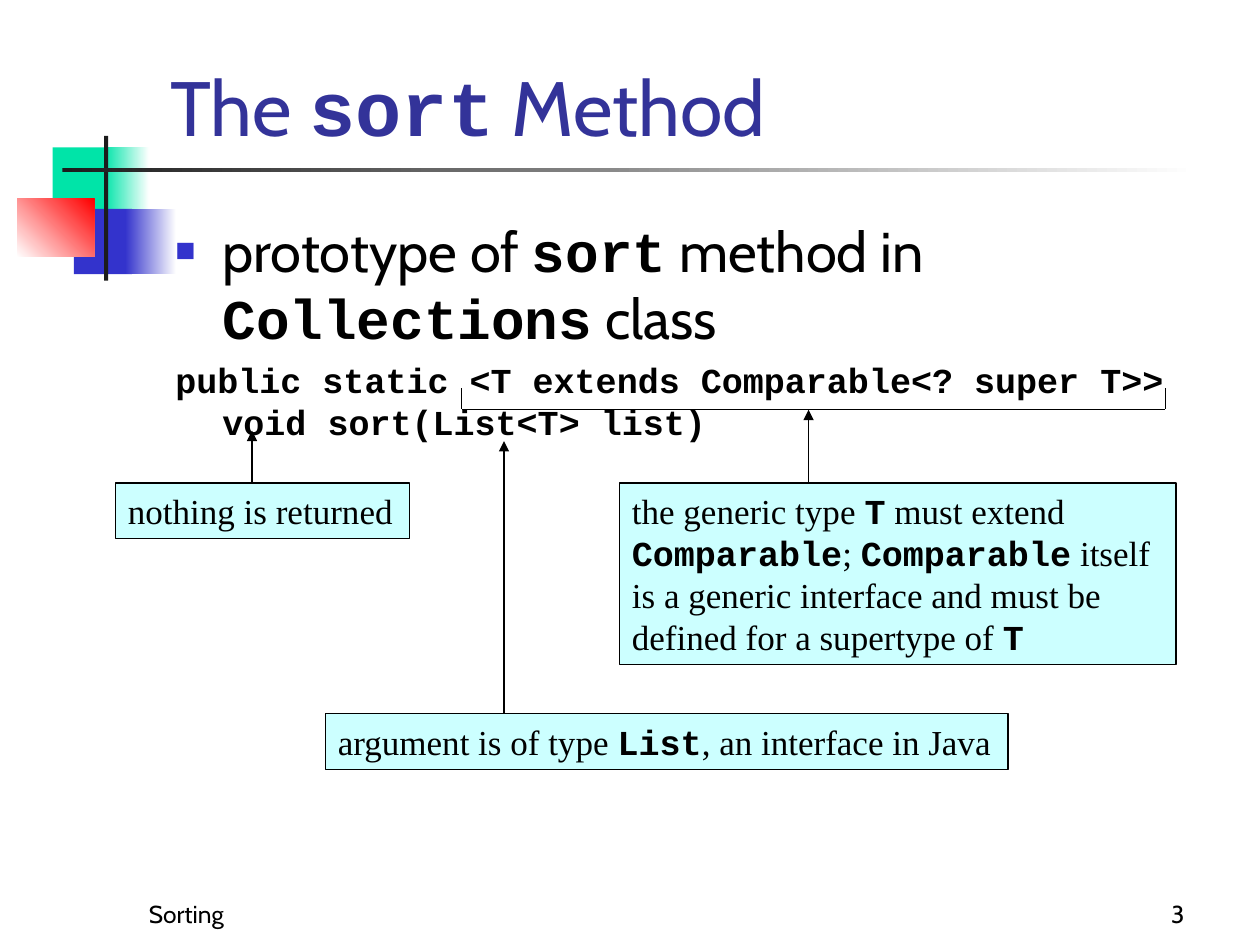
from lxml import etree
from pptx import Presentation
from pptx import util as u
from pptx.dml.color import RGBColor
from pptx.enum import shapes, text
from pptx.oxml import ns

GREEN = RGBColor(0x00, 0xE4, 0xA8)
BLUE = RGBColor(0x33, 0x33, 0xCC)
RED = RGBColor(0xFF, 0x00, 0x00)
DARK = RGBColor(0x1C, 0x1C, 0x1C)
WHITE = RGBColor(0xFF, 0xFF, 0xFF)
BLACK = RGBColor(0x00, 0x00, 0x00)
TITLE_BLUE = RGBColor(0x33, 0x33, 0x99)
PALE_CYAN = RGBColor(0xCC, 0xFF, 0xFF)
SANS, SERIF, CODE = "Cabin", "Times New Roman", "Courier New"


def place(shape, left, top, width, height):
    shape.left, shape.top = u.Cm(left), u.Cm(top)
    shape.width, shape.height = u.Cm(width), u.Cm(height)


def add_xml(parent, tag, **attributes):
    return etree.SubElement(parent, ns.qn(tag), attributes)


def write(paragraph, words, font, size, color):
    """Write words; parts between backticks are set as bold code."""
    paragraph.alignment = text.PP_ALIGN.LEFT
    paragraph.font.size = u.Pt(size)
    paragraph.font.color.rgb = color
    parts = [(i % 2 == 1, part) for i, part in enumerate(words.split("`")) if part]
    mixed = len(parts) > 1
    for is_code, part in parts:
        run = paragraph.add_run()
        run.text = part
        target = run.font if mixed else paragraph.font
        target.name = CODE if is_code else font
        target.bold = is_code


def set_frame(frame, anchor):
    frame.word_wrap = True
    frame.auto_size = text.MSO_AUTO_SIZE.NONE
    frame.vertical_anchor = anchor


def add_rect(slide, left, top, width, height, color, end=None, angle=0):
    rect = slide.shapes.add_shape(
        shapes.MSO_SHAPE.RECTANGLE,
        u.Cm(left), u.Cm(top), u.Cm(width), u.Cm(height))
    rect.shadow.inherit = False
    rect.line.fill.background()
    if end is None:
        rect.fill.solid()
        rect.fill.fore_color.rgb = color
    else:
        rect.fill.gradient()
        rect.fill.gradient_angle = angle
        for stop, stop_color in zip(rect.fill.gradient_stops, (color, end)):
            stop.color.rgb = stop_color
    return rect


def add_line(slide, x1, y1, x2, y2, arrow=False):
    line = slide.shapes.add_connector(
        shapes.MSO_CONNECTOR.STRAIGHT, u.Cm(x1), u.Cm(y1), u.Cm(x2), u.Cm(y2))
    line.line.color.rgb = BLACK
    line.line.width = u.Pt(0.75)
    if arrow:
        add_xml(line.line._get_or_add_ln(), "a:tailEnd", type="triangle")
    add_xml(line._element.spPr, "a:effectLst")


def add_ornament(slide, left, top):
    """Coloured squares with a crossing pair of rules."""
    for dx, dy, width, height, *fill in (
            (0.71, 0.23, 1.22, 1.32, GREEN),
            (1.75, 0.23, 0.91, 1.32, GREEN, WHITE),
            (1.14, 1.47, 1.17, 1.32, BLUE),
            (2.18, 1.47, 1.02, 1.32, BLUE, WHITE),
            (0, 1.27, 1.55, 1.17, WHITE, RED, 45),
            (1.75, 0, 0.08, 2.92, DARK),
            (0.91, 0.64, 22.86, 0.08, DARK, WHITE)):
        add_rect(slide, left + dx, top + dy, width, height, *fill)


def add_footer(slide, left, top, width, height, words, align):
    box = slide.shapes.add_textbox(
        u.Cm(left), u.Cm(top), u.Cm(width), u.Cm(height))
    set_frame(box.text_frame, text.MSO_ANCHOR.BOTTOM)
    line = box.text_frame.paragraphs[0]
    write(line, words, SANS, 14, BLACK)
    line.alignment = align


def fill_title(title, box, words):
    place(title, *box)
    set_frame(title.text_frame, text.MSO_ANCHOR.BOTTOM)
    write(title.text_frame.paragraphs[0], words, SANS, 44, TITLE_BLUE)


def fill_body(body, box, bullet, prototype):
    place(body, *box)
    frame = body.text_frame
    set_frame(frame, text.MSO_ANCHOR.TOP)
    items = ((frame.paragraphs[0], bullet, 32, 0), (frame.add_paragraph(), prototype, 20, 4))
    for item, words, size, gap in items:
        item.space_before = u.Pt(gap)
        props = item._p.get_or_add_pPr()
        props.set("marL", str(u.Cm(0.95)))
        props.set("indent", str(u.Cm(-0.95)))
        if item is items[0][0]:
            add_xml(add_xml(props, "a:buClr"), "a:srgbClr", val=str(BLUE))
            add_xml(props, "a:buSzPct", val="60000")
            add_xml(props, "a:buChar", char="■")
        else:
            add_xml(props, "a:buNone")
        write(item, words, SANS, size, BLACK)


def add_bracket(slide, left, top, width, height):
    right, bottom = left + width, top + height
    for x in (left, right):
        add_line(slide, x, top, x, bottom)
    add_line(slide, left, bottom, right, bottom)


def add_callout(slide, left, top, width, height, words, arrow_dx, arrow_length):
    """Note box with an arrow rising from its top edge."""
    note = add_rect(slide, left, top, width, height, PALE_CYAN)
    note.line.color.rgb = BLACK
    note.line.width = u.Pt(0.75)
    set_frame(note.text_frame, text.MSO_ANCHOR.TOP)
    write(note.text_frame.paragraphs[0], words, SERIF, 20, BLACK)
    x = left + arrow_dx
    add_line(slide, x, top, x, top - arrow_length, arrow=True)


def build_slide(prs):
    slide = prs.slides.add_slide(prs.slide_layouts[1])
    add_ornament(slide, 0.35, 2.74)

    # Title and prototype
    fill_title(slide.shapes.title, (3.18, 0, 21.64, 3.18), "The `sort` Method")
    fill_body(slide.placeholders[1], (3.28, 4.24, 21.59, 12.8),
              "prototype of `sort` method in `Collections` class",
              "`public static <T extends Comparable<? super T>> "
              "void sort(List<T>\u00a0list)`")

    # Notes on the parts of the prototype
    add_bracket(slide, 9.31, 7.83, 14.18, 0.42)
    for callout in (
            (12.49, 9.74, 11.22, 3.66,
             "the generic type `T` must extend `Comparable`; `Comparable` itself "
             "is a generic interface and must be defined for a supertype of `T`",
             3.81, 1.48),
            (2.33, 9.74, 5.93, 1.12, "nothing is returned", 2.75, 1.06),
            (6.56, 14.39, 13.76, 1.12,
             "argument is of type `List`, an interface in Java", 3.6, 5.5)):
        add_callout(slide, *callout)

    # Footer
    add_footer(slide, 2.75, 17.57, 9.53, 1.27, "Sorting", text.PP_ALIGN.LEFT)
    add_footer(slide, 18.84, 17.57, 5.29, 1.27, "3", text.PP_ALIGN.RIGHT)


prs = Presentation()
prs.slide_width, prs.slide_height = u.Cm(25.4), u.Cm(19.05)
build_slide(prs)
prs.save("out.pptx")
